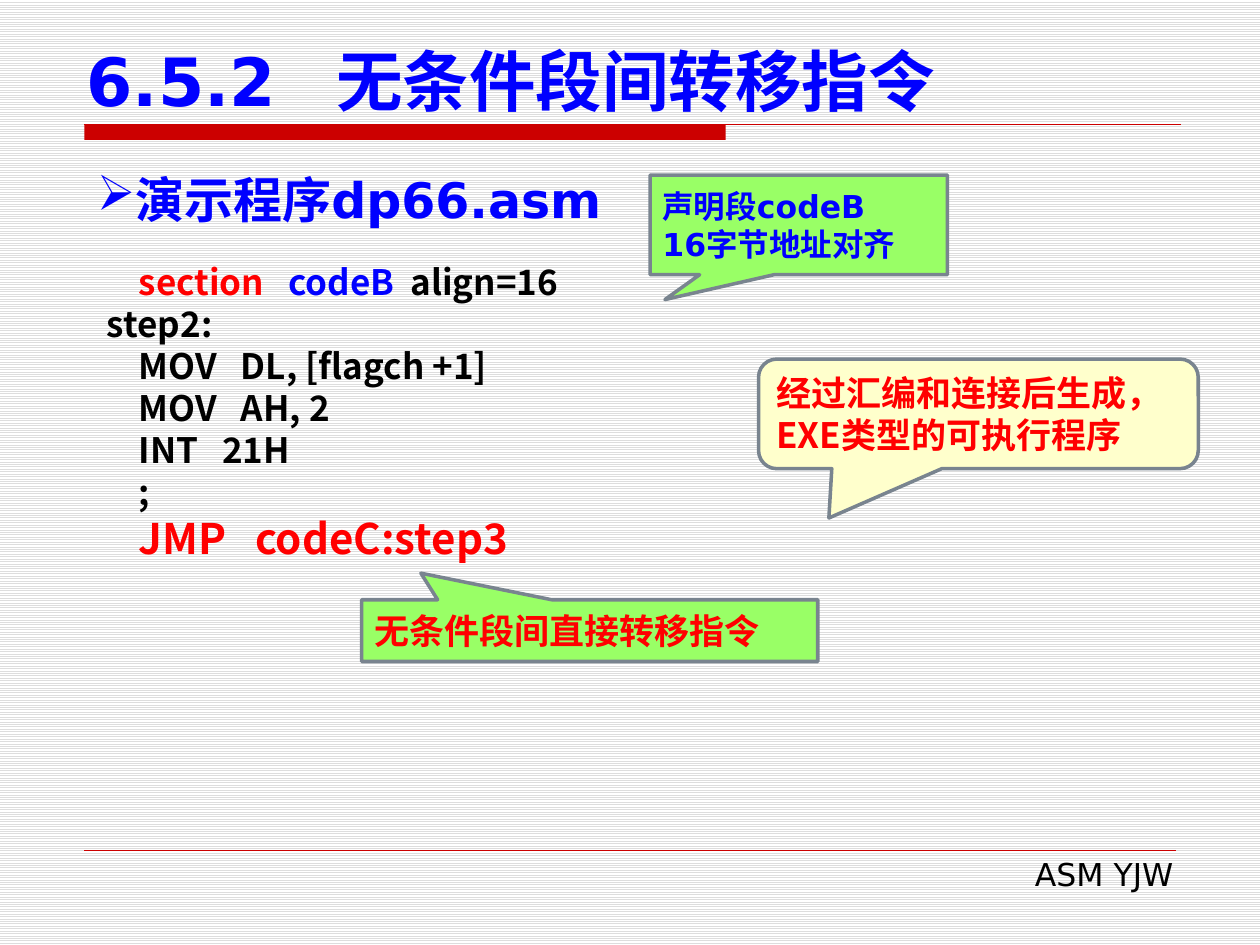
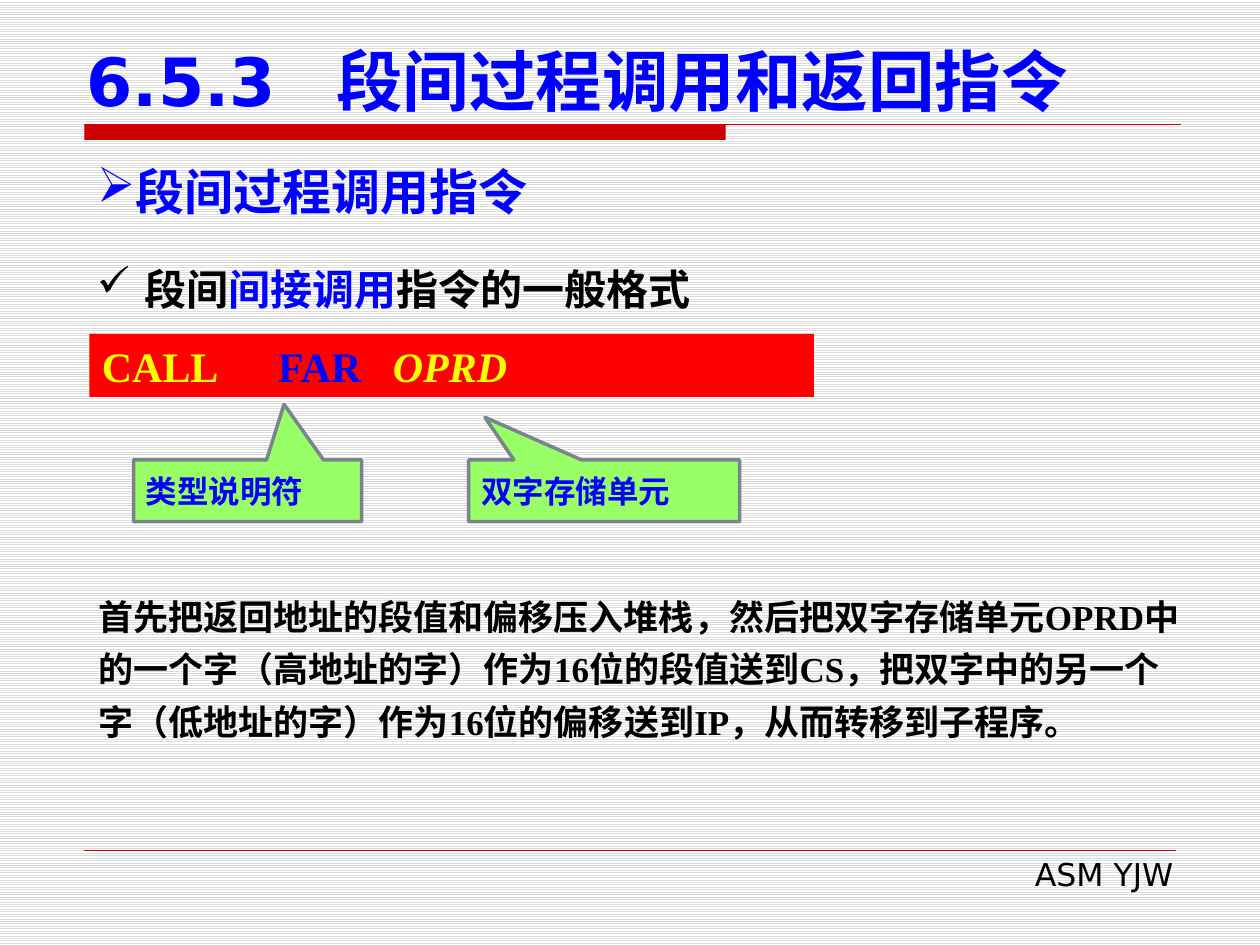
from lxml import etree
from pptx import Presentation
from pptx.dml.color import RGBColor
from pptx.enum.dml import MSO_PATTERN
from pptx.enum.shapes import MSO_CONNECTOR, MSO_SHAPE
from pptx.enum.text import MSO_ANCHOR, PP_ALIGN
from pptx.oxml.ns import qn
from pptx.util import Inches, Pt

LEFT, RIGHT, JUSTIFY = PP_ALIGN.LEFT, PP_ALIGN.RIGHT, PP_ALIGN.JUSTIFY
MIDDLE, BOTTOM = MSO_ANCHOR.MIDDLE, MSO_ANCHOR.BOTTOM
RECT = MSO_SHAPE.RECTANGLE
SQUARE = MSO_SHAPE.RECTANGULAR_CALLOUT
ROUND = MSO_SHAPE.ROUNDED_RECTANGULAR_CALLOUT
STRIPES = MSO_PATTERN.LIGHT_HORIZONTAL
STRAIGHT = MSO_CONNECTOR.STRAIGHT

SANS, CJK, SERIF = "DejaVu Sans", "Noto Sans CJK SC", "Times New Roman"
BLUE, RED, BLACK, YELLOW = "0000FF", "FF0000", "000000", "FFFF00"
BAND, GREEN, CREAM, EDGE = "CC0000", "99FF66", "FFFFCC", "79848F"


def hue(code):
    return RGBColor.from_string(code)


def write(shape, lines, size, color, font=SANS, bold=True, align=LEFT,
          anchor=None, space=None, bullet=None, hang=0, tabs=()):
    """Fill a shape; a line is a string or a list of (text, colour) pieces."""
    frame = shape.text_frame
    frame.word_wrap = True
    frame.vertical_anchor = anchor
    for i, line in enumerate(lines):
        para = frame.add_paragraph() if i else frame.paragraphs[0]
        pieces = [(line, color)] if isinstance(line, str) else line
        props = para._p.get_or_add_pPr()
        if hang:
            props.set("marL", str(Inches(hang)))
            props.set("indent", str(-Inches(hang)))
        if bullet:
            etree.SubElement(props, qn("a:buChar")).set("char", bullet)
        if tabs:
            stops = etree.SubElement(props, qn("a:tabLst"))
            for stop in tabs:
                tab = etree.SubElement(stops, qn("a:tab"))
                tab.set("pos", str(Inches(stop)))
                tab.set("algn", "l")
        para.alignment = align
        para.line_spacing = space
        for text, tint in pieces:
            run = para.add_run()
            run.text = text
            run.font.size, run.font.bold = Pt(size), bold
            run.font.name = font
            run.font.color.rgb = hue(tint)
            east = etree.SubElement(run._r.get_or_add_rPr(), qn("a:ea"))
            east.set("typeface", CJK)


deck = Presentation()
deck.slide_width, deck.slide_height = Inches(10), Inches(7.5)

# Shared frame: background, title, red band and footer
pages = []
for title in ("6.5.2\t无条件段间转移指令", "6.5.3\t段间过程调用和返回指令"):
    page = deck.slides.add_slide(deck.slide_layouts[6])
    pages.append(page.shapes)
    back = page.background.fill
    back.patterned()
    back.pattern = STRIPES
    back.fore_color.rgb, back.back_color.rgb = hue("DDDDDD"), hue("FFFFFF")

    band = page.shapes.add_shape(RECT, Inches(0.67), Inches(0.99),
                                 Inches(5.09), Inches(0.12))
    band.shadow.inherit = False
    band.fill.solid()
    band.fill.fore_color.rgb = hue(BAND)
    band.line.fill.background()
    for end, y, width in ((9.37, 0.99, 0.75), (9.33, 6.75, 0.25)):
        rule = page.shapes.add_connector(STRAIGHT, Inches(0.67), Inches(y),
                                         Inches(end), Inches(y))
        rule.line.color.rgb = hue(BAND)
        rule.line.width = Pt(width)
        etree.SubElement(rule._element.spPr, qn("a:effectLst"))

    foot = page.shapes.add_textbox(Inches(3.82), Inches(6.74),
                                   Inches(5.59), Inches(0.4))
    write(foot, ["ASM YJW"], 18, BLACK, bold=False, align=RIGHT)
    head = page.shapes.add_textbox(Inches(0.59), Inches(0.29),
                                   Inches(9.06), Inches(0.71))
    write(head, [title], 38, BLUE, anchor=BOTTOM, tabs=[1.98])

jump, call = pages

# Section headings
for page, y, high, text, space in (
        (jump, 1.11, 0.67, "演示程序dp66.asm", 1.4),
        (call, 1.23, 0.57, "段间过程调用指令", None)):
    box = page.add_textbox(Inches(0.67), Inches(y), Inches(8.66), Inches(high))
    write(box, [text], 28, BLUE, align=JUSTIFY, space=space, bullet="➢")

# Program listing
code = jump.add_textbox(Inches(0.75), Inches(2.02), Inches(8.59), Inches(2.52))
write(code, [
    [("    section   ", RED), ("codeB  ", BLUE), ("align=16", BLACK)],
    "step2:",
    "    MOV   DL, [flagch +1]",
    "    MOV   AH, 2",
    "    INT   21H",
    "    ;",
    [("    ", BLACK), ("JMP   codeC:step3", RED)],
], 20, BLACK, CJK)
code.text_frame.paragraphs[-1].runs[-1].font.size = Pt(24)

# Call format and its meaning
form = call.add_textbox(Inches(0.67), Inches(1.94), Inches(8.82), Inches(0.61))
write(form, [[("段间", BLACK), ("间接调用", BLUE), ("指令的一般格式", BLACK)]],
      24, BLACK, CJK, space=Pt(36), bullet="✓", hang=0.38)

bar = call.add_shape(RECT, Inches(0.71), Inches(2.65), Inches(5.75), Inches(0.5))
bar.shadow.inherit = False
bar.fill.solid()
bar.fill.fore_color.rgb = hue(RED)
bar.line.fill.background()
write(bar, [[("CALL\t", YELLOW), ("FAR\t", BLUE), ("OPRD", YELLOW)]],
      24, YELLOW, SERIF, anchor=MIDDLE, tabs=[1.4, 2.31])
bar.text_frame.paragraphs[0].runs[-1].font.italic = True

note = call.add_textbox(Inches(0.68), Inches(4.59), Inches(8.81), Inches(1.32))
write(note, ["首先把返回地址的段值和偏移压入堆栈，然后把双字存储单元OPRD"
             "中的一个字（高地址的字）作为16位的段值送到CS，把双字中的另"
             "一个字（低地址的字）作为16位的偏移送到IP，从而转移到子程序。"],
      20, BLACK, SERIF, space=Pt(30))

# Callouts: page, kind, place, tip offset, fill, lines, size, colour, font
for page, kind, place, tip, fill, lines, size, color, font in (
        (jump, SQUARE, (2.87, 4.76, 3.62, 0.49), (-0.37, -0.93), GREEN,
         ["无条件段间直接转移指令"], 20, RED, SANS),
        (jump, SQUARE, (5.16, 1.39, 2.36, 0.79), (-0.45, 0.75), GREEN,
         ["声明段codeB", "16字节地址对齐"], 18, BLUE, SANS),
        (jump, ROUND, (6.02, 2.85, 3.49, 0.87), (-0.34, 0.95), CREAM,
         ["经过汇编和连接后生成，", "EXE类型的可执行程序"], 20, RED, CJK),
        (call, SQUARE, (3.72, 3.65, 2.15, 0.49), (-0.44, -1.19), GREEN,
         ["双字存储单元"], 18, BLUE, SANS),
        (call, SQUARE, (1.06, 3.65, 1.81, 0.49), (0.16, -1.4), GREEN,
         ["类型说明符"], 18, BLUE, SANS)):
    bubble = page.add_shape(kind, *map(Inches, place))
    bubble.shadow.inherit = False
    bubble.adjustments[0], bubble.adjustments[1] = tip
    bubble.fill.solid()
    bubble.fill.fore_color.rgb = hue(fill)
    bubble.line.color.rgb = hue(EDGE)
    bubble.line.width = Pt(2)
    write(bubble, lines, size, color, font, anchor=MIDDLE)

deck.save("out.pptx")
